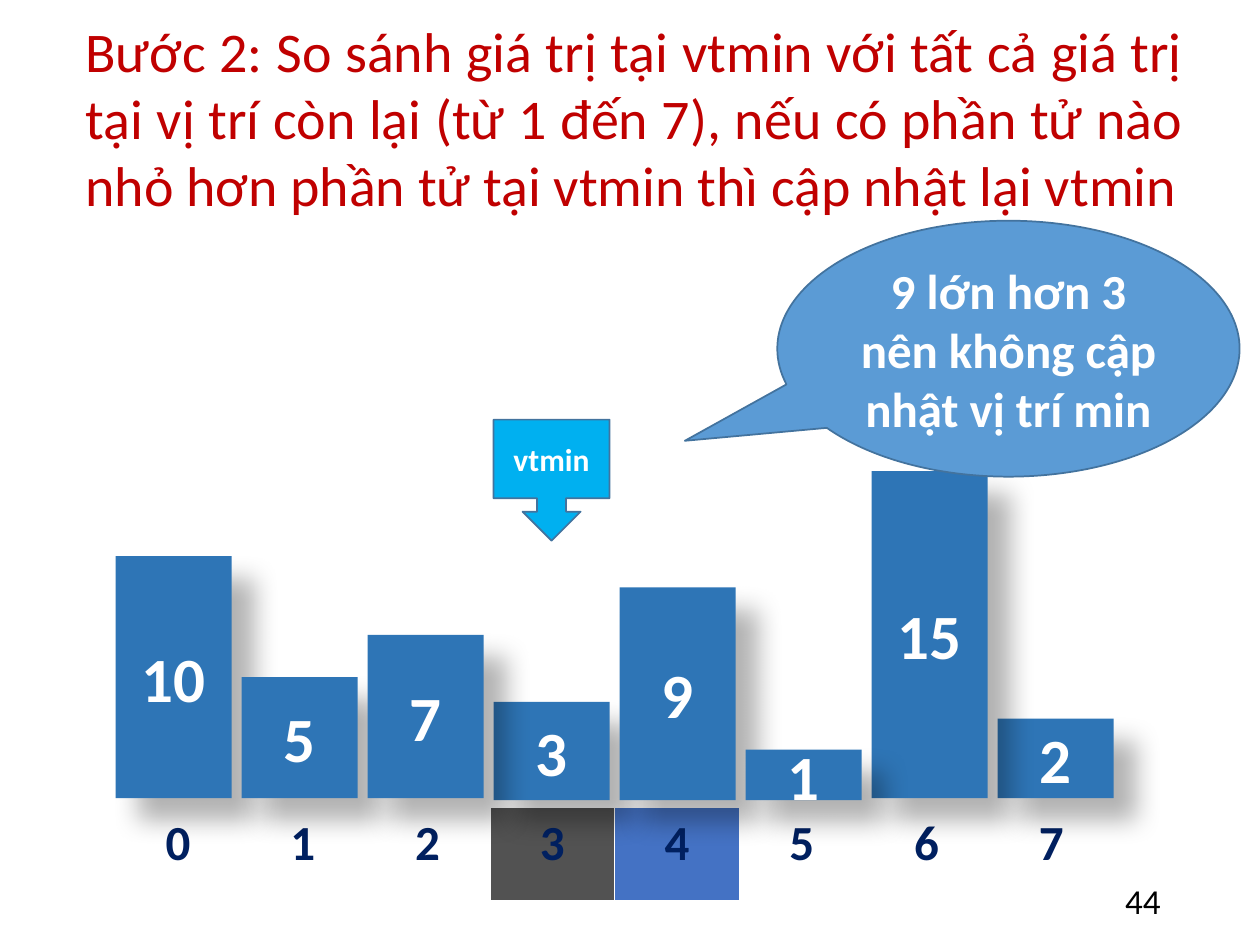
from dataclasses import dataclass

from lxml.etree import SubElement
from pptx import Presentation
from pptx.dml.color import RGBColor
from pptx.enum.shapes import MSO_SHAPE
from pptx.enum.text import MSO_ANCHOR, MSO_AUTO_SIZE, PP_ALIGN
from pptx.oxml.ns import qn
from pptx.util import Cm, Pt


@dataclass(frozen=True)
class Theme:
    font: str = "Calibri"
    title: str = "C00000"
    bar: str = "2E75B6"
    marker: str = "00B0F0"
    speech: str = "5B9BD5"
    outline: str = "43739E"
    index: str = "002060"
    minimum_cell: str = "525252"
    current_cell: str = "4472C4"
    white: str = "FFFFFF"
    black: str = "000000"
    title_size: int = 32
    value_size: int = 36
    note_size: int = 28
    marker_size: int = 18
    number_size: int = 20


def write(frame, text, size, color, font, bold=True,
          align=PP_ALIGN.CENTER, anchor=MSO_ANCHOR.MIDDLE):
    """Put one formatted paragraph in a text frame."""
    frame.word_wrap = True
    frame.auto_size = MSO_AUTO_SIZE.NONE
    frame.vertical_anchor = anchor
    paragraph = frame.paragraphs[0]
    paragraph.alignment = align
    run = paragraph.add_run()
    run.text = text
    run.font.name = font
    run.font.size = Pt(size)
    run.font.bold = bold
    run.font.color.rgb = RGBColor.from_string(color)


class SlideBuilder:
    def __init__(self, slide, theme):
        self.slide = slide
        self.theme = theme

    def title(self, text, box):
        title = self.slide.shapes.title
        title.left, title.top, title.width, title.height = map(Cm, box)
        write(title.text_frame, text, self.theme.title_size, self.theme.title,
              self.theme.font, bold=False, align=PP_ALIGN.JUSTIFY,
              anchor=MSO_ANCHOR.TOP)

    def shape(self, kind, box, text, size, fill, outline=None):
        shape = self.slide.shapes.add_shape(kind, *map(Cm, box))
        shape.shadow.inherit = False
        shape.fill.solid()
        shape.fill.fore_color.rgb = RGBColor.from_string(fill)
        if outline:
            shape.line.color.rgb = RGBColor.from_string(outline)
            shape.line.width = Pt(1)
        else:
            shape.line.fill.background()
        write(shape.text_frame, text, size, self.theme.white, self.theme.font)
        return shape

    def bar(self, box, value):
        bar = self.shape(MSO_SHAPE.RECTANGLE, box, str(value),
                         self.theme.value_size, self.theme.bar)
        effects = bar._element.spPr.find(qn("a:effectLst"))
        shadow = SubElement(effects, qn("a:outerShdw"), blurRad=str(Pt(15)),
                            dist=str(Pt(18)), dir="2700000", algn="tl",
                            rotWithShape="0")
        color = SubElement(shadow, qn("a:srgbClr"), val=self.theme.black)
        SubElement(color, qn("a:alpha"), val="30000")

    def index_table(self, box, count, highlights):
        table = self.slide.shapes.add_table(1, count, *map(Cm, box)).table
        table.first_row = table.horz_banding = False
        for index, cell in enumerate(table.iter_cells()):
            write(cell.text_frame, str(index), self.theme.note_size,
                  self.theme.index, self.theme.font, anchor=MSO_ANCHOR.TOP)
            self.borders(cell)
            if index in highlights:
                cell.fill.solid()
                cell.fill.fore_color.rgb = RGBColor.from_string(highlights[index])
            else:
                cell.fill.background()

    def borders(self, cell):
        properties = cell._tc.get_or_add_tcPr()
        for side, width in (("L", 1), ("R", 1), ("T", 1), ("B", 3)):
            line = SubElement(properties, qn(f"a:ln{side}"), w=str(Pt(width)))
            fill = SubElement(line, qn("a:solidFill"))
            SubElement(fill, qn("a:srgbClr"), val=self.theme.white)

    def page_number(self, text, box):
        number = self.slide.shapes.add_textbox(*map(Cm, box))
        write(number.text_frame, text, self.theme.number_size, self.theme.black,
              self.theme.font, bold=False, align=PP_ALIGN.RIGHT)


# Column grid, in centimetres
LEFT, PITCH, BAR_WIDTH = 2.33, 2.54, 2.34
BASE, LOW_BASE = 16.09, 16.13

# Position: value, height, bottom edge
BARS = {
    0: (10, 4.88, BASE),
    1: (5, 2.44, BASE),
    2: (7, 3.29, BASE),
    3: (3, 1.98, LOW_BASE),
    4: (9, 4.29, LOW_BASE),
    5: (1, 1.02, LOW_BASE),
    6: (15, 6.59, BASE),
    7: (2, 1.6, BASE),
}
STACKING = (3, 4, 7, 6, 5, 0, 1, 2)
MINIMUM, CURRENT = 3, 4


def main():
    presentation = Presentation()
    presentation.slide_width, presentation.slide_height = Cm(25.4), Cm(19.05)
    theme = Theme()
    builder = SlideBuilder(
        presentation.slides.add_slide(presentation.slide_layouts[5]), theme)

    # Step description
    builder.title(
        "Bước 2: So sánh giá trị tại vtmin với tất cả giá trị tại vị trí còn lại "
        "(từ 1 đến 7), nếu có phần tử nào nhỏ hơn phần tử tại vtmin thì cập nhật "
        "lại vtmin", (1.47, 0.2, 22.66, 4.37))

    # Array positions
    builder.index_table((LEFT, 16.28, 20.12, 1.91), len(BARS),
                        {MINIMUM: theme.minimum_cell, CURRENT: theme.current_cell})

    # Array values
    for position in STACKING:
        value, height, bottom = BARS[position]
        builder.bar((LEFT + position * PITCH, bottom - height, BAR_WIDTH, height),
                    value)

    # Marker over the current minimum
    builder.shape(MSO_SHAPE.DOWN_ARROW_CALLOUT,
                  (LEFT + MINIMUM * PITCH, 8.46, BAR_WIDTH, 2.44), "vtmin",
                  theme.marker_size, theme.marker, theme.outline)

    # Comparison result
    speech = builder.shape(MSO_SHAPE.OVAL_CALLOUT, (15.67, 4.45, 9.32, 5.16),
                           "9 lớn hơn 3 nên không cập nhật vị trí min",
                           theme.note_size, theme.speech, theme.outline)
    speech.adjustments[0], speech.adjustments[1] = -0.7, 0.36

    builder.page_number("44", (17.93, 17.65, 5.72, 1.02))
    presentation.save("out.pptx")


if __name__ == "__main__":
    main()
